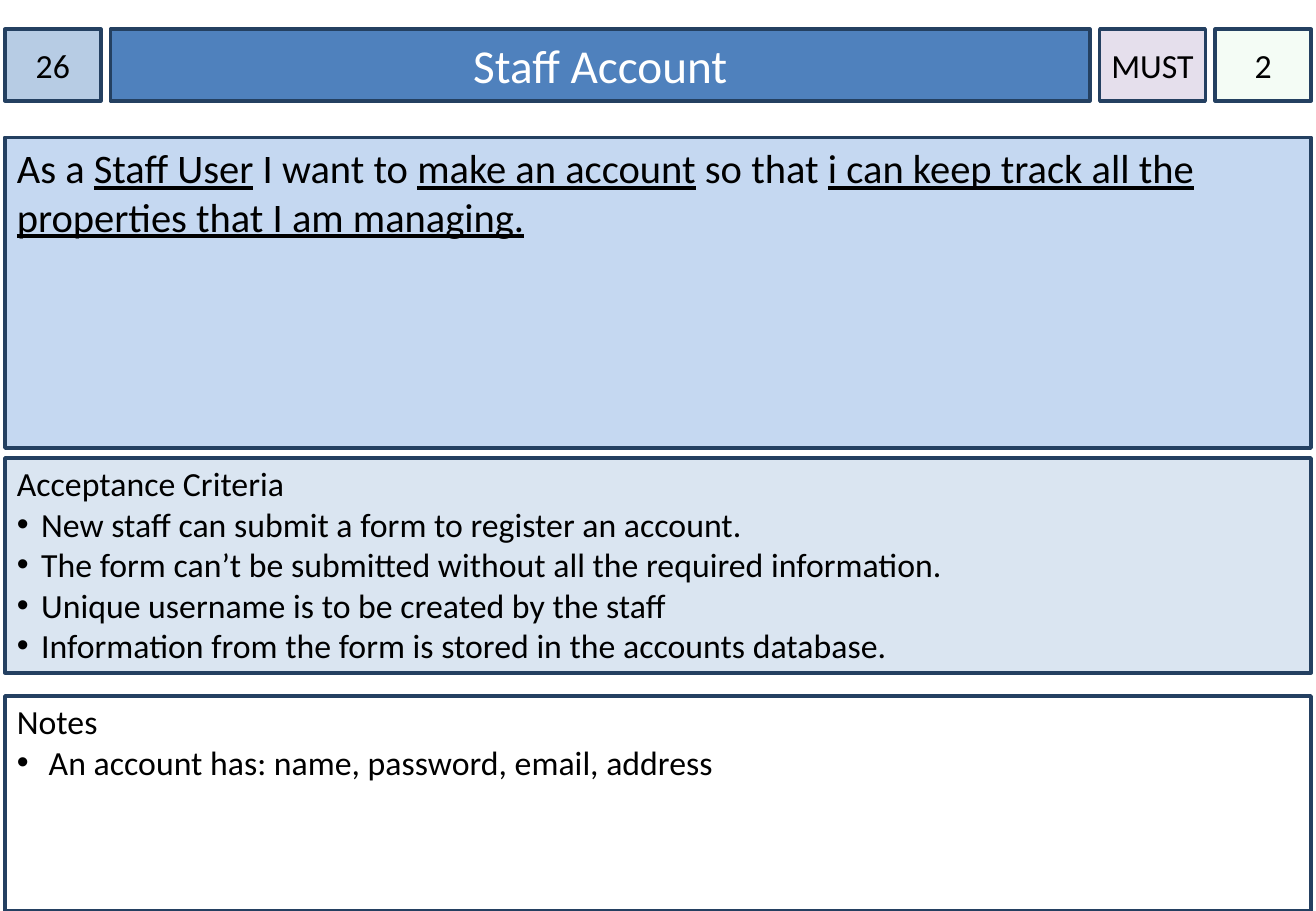
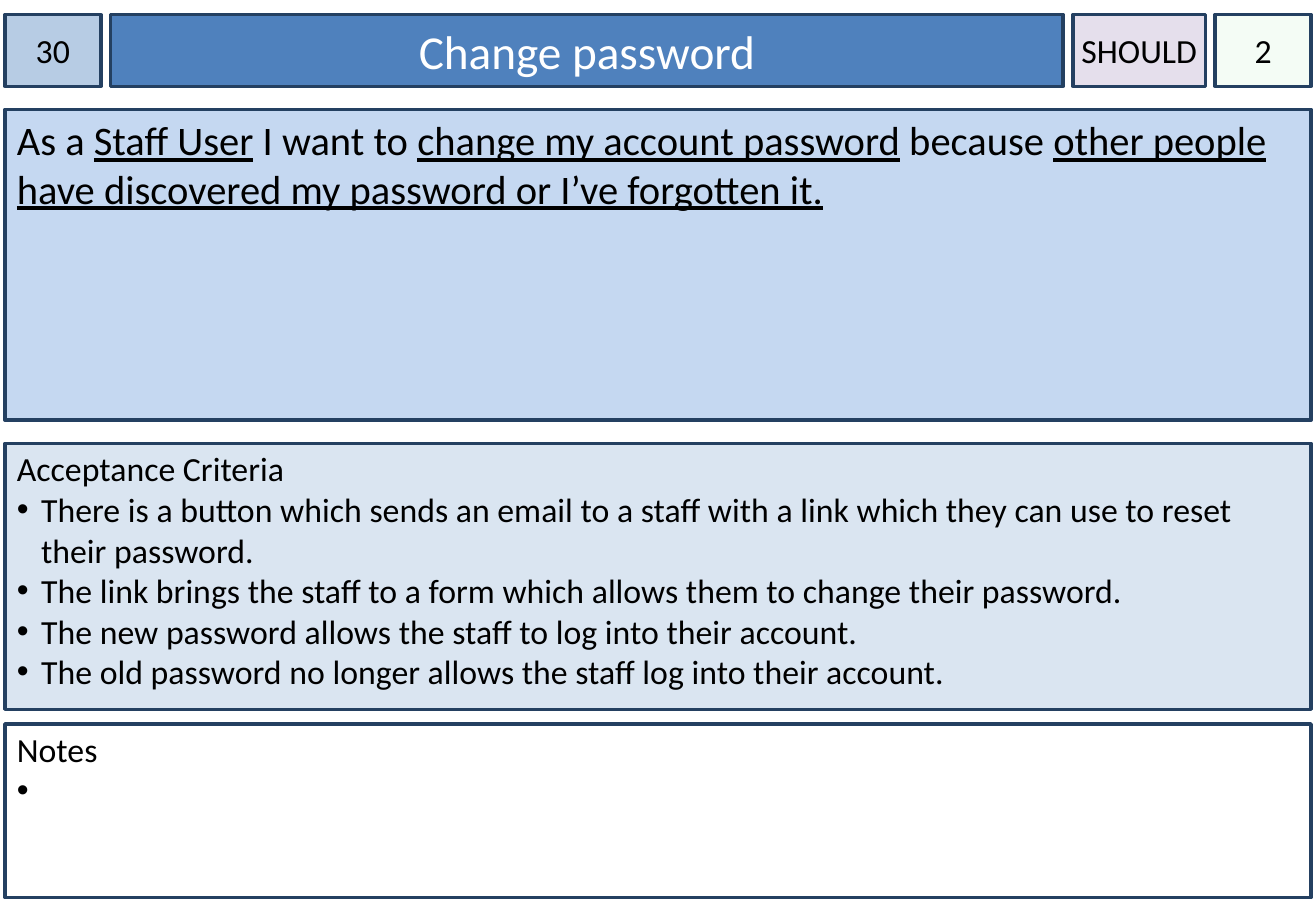
from dataclasses import dataclass

from lxml import etree
from pptx import Presentation
from pptx.dml.color import RGBColor
from pptx.enum import shapes, text
from pptx.oxml import ns
from pptx import util as u

PX = 9144
PAGE_WIDTH, PAGE_HEIGHT = 1083, 750
LEFT, RIGHT, GAP = 4, 1079, 8
HEADER_HEIGHT, BADGE_WIDTH, STORY_HEIGHT = 59, 79, 256


@dataclass(frozen=True)
class Theme:
    """Colours, font and type sizes of the story cards."""
    font: str = "Calibri"
    ink: str = "000000"
    white: str = "FFFFFF"
    border: str = "244061"
    number: str = "B7CCE4"
    title: str = "4F81BD"
    priority: str = "E5DFEC"
    points: str = "CCF0CD"
    story: str = "C5D8F1"
    criteria: str = "DAE5F1"
    border_width: int = 2
    title_size: int = 28
    story_size: int = 24
    body_size: int = 20


THEME = Theme()


def px(length):
    """Turn px into EMU."""
    return u.Emu(length * PX)


def write(para, words, size=THEME.body_size, color=THEME.ink, underline=None):
    """Add one formatted span to a paragraph."""
    span = para.add_run()
    span.text = words
    font = span.font
    font.name, font.size, font.underline = THEME.font, u.Pt(size), underline
    font.color.rgb = RGBColor.from_string(color)


def add_bullet(para, indent=20):
    """Give a paragraph a hanging round bullet."""
    properties = para._p.get_or_add_pPr()
    properties.set("marL", str(px(indent)))
    properties.set("indent", str(-px(indent)))
    bullet_color = etree.SubElement(properties, ns.qn("a:buClr"))
    etree.SubElement(bullet_color, ns.qn("a:srgbClr"), val=THEME.ink)
    etree.SubElement(properties, ns.qn("a:buFont"), typeface="Arial")
    etree.SubElement(properties, ns.qn("a:buChar"), char="•")


class CardDeck:
    """Builds story cards on the current page."""

    def __init__(self):
        """Open an empty deck."""
        self.deck = Presentation()
        self.deck.slide_width = px(PAGE_WIDTH)
        self.deck.slide_height = px(PAGE_HEIGHT)
        self.page = None

    def new_page(self):
        """Start a blank page."""
        self.page = self.deck.slides.add_slide(self.deck.slide_layouts[6])

    def box(self, left, top, width, height, fill, side=10, head=5, alpha=None):
        """Draw a bordered box and return its empty text frame."""
        box = self.page.shapes.add_shape(
            shapes.MSO_SHAPE.RECTANGLE, px(left), px(top), px(width), px(height))
        box.shadow.inherit = False
        box.fill.solid()
        box.fill.fore_color.rgb = RGBColor.from_string(fill)
        if alpha is not None:
            color = box._element.spPr.find(ns.qn("a:solidFill"))[0]
            etree.SubElement(color, ns.qn("a:alpha"), val=str(alpha * 1000))
        box.line.color.rgb = RGBColor.from_string(THEME.border)
        box.line.width = u.Pt(THEME.border_width)
        frame = box.text_frame
        frame.word_wrap = True
        frame.margin_left = frame.margin_right = px(side)
        frame.margin_top, frame.margin_bottom = px(head), px(5)
        frame.vertical_anchor = text.MSO_ANCHOR.TOP
        frame.paragraphs[0].alignment = text.PP_ALIGN.LEFT
        return frame

    def label(self, left, top, width, words, fill, side=0, alpha=None, **style):
        """Draw a header box with one centred line."""
        frame = self.box(left, top, width, HEADER_HEIGHT, fill, side, alpha=alpha)
        frame.vertical_anchor = text.MSO_ANCHOR.MIDDLE
        para = frame.paragraphs[0]
        para.alignment = text.PP_ALIGN.CENTER
        write(para, words, **style)

    def header(self, top, number, title, priority, priority_width, points):
        """Draw the row of number, title, priority and points."""
        title_left = LEFT + BADGE_WIDTH + GAP
        points_left = RIGHT - BADGE_WIDTH
        priority_left = points_left - GAP - priority_width
        self.label(LEFT, top, BADGE_WIDTH, number, THEME.number)
        self.label(title_left, top, priority_left - GAP - title_left, title,
                   THEME.title, side=10, size=THEME.title_size, color=THEME.white)
        self.label(priority_left, top, priority_width, priority, THEME.priority)
        self.label(points_left, top, BADGE_WIDTH, points, THEME.points, alpha=20)

    def story(self, top, pieces):
        """Draw the story, underlining every second piece."""
        frame = self.box(LEFT, top, RIGHT - LEFT, STORY_HEIGHT, THEME.story)
        for index, piece in enumerate(pieces):
            write(frame.paragraphs[0], piece, size=THEME.story_size,
                  underline=index % 2 == 1)

    def panel(self, top, height, heading, items, fill):
        """Draw a heading with a bullet list below it."""
        frame = self.box(LEFT, top, RIGHT - LEFT, height, fill, head=4)
        write(frame.paragraphs[0], heading)
        for item in items:
            para = frame.add_paragraph()
            para.alignment = text.PP_ALIGN.LEFT
            add_bullet(para)
            write(para, item)

    def card(self, header, story, criteria, notes):
        """Draw one whole story card."""
        self.new_page()
        self.header(*header)
        self.story(*story)
        for heading, fill, (top, height, items) in (
                ("Acceptance Criteria", THEME.criteria, criteria),
                ("Notes", THEME.white, notes)):
            self.panel(top, height, heading, items, fill)


def main():
    """Build both cards and save the deck."""
    cards = CardDeck()
    cards.card(
        header=(24, "26", "Staff Account", "MUST", 87, "2"),
        story=(113, ["As a ", "Staff User", " I want to ", "make an account",
                     " so that ",
                     "i can keep track all the properties that I am managing."]),
        criteria=(377, 177, [
            "New staff can submit a form to register an account.",
            "The form can’t be submitted without all the required information.",
            "Unique username is to be created by the staff",
            "Information from the form is stored in the accounts database."]),
        notes=(573, 177, [" An account has: name, password, email, address"]))
    cards.card(
        header=(12, "30", "Change password", "SHOULD", 109, "2"),
        story=(90, ["As a ", "Staff User", " I want to ",
                    "change my account password", " because ",
                    "other people have discovered my password "
                    "or I’ve forgotten it."]),
        criteria=(365, 219, [
            "There is a button which sends an email to a staff with a link "
            "which they can use to reset their password.",
            "The link brings the staff to a form which allows them to change "
            "their password.",
            "The new password allows the staff to log into their account.",
            "The old password no longer allows the staff log into their account."]),
        notes=(596, 143, [" "]))
    cards.deck.save("out.pptx")


if __name__ == "__main__":
    main()
